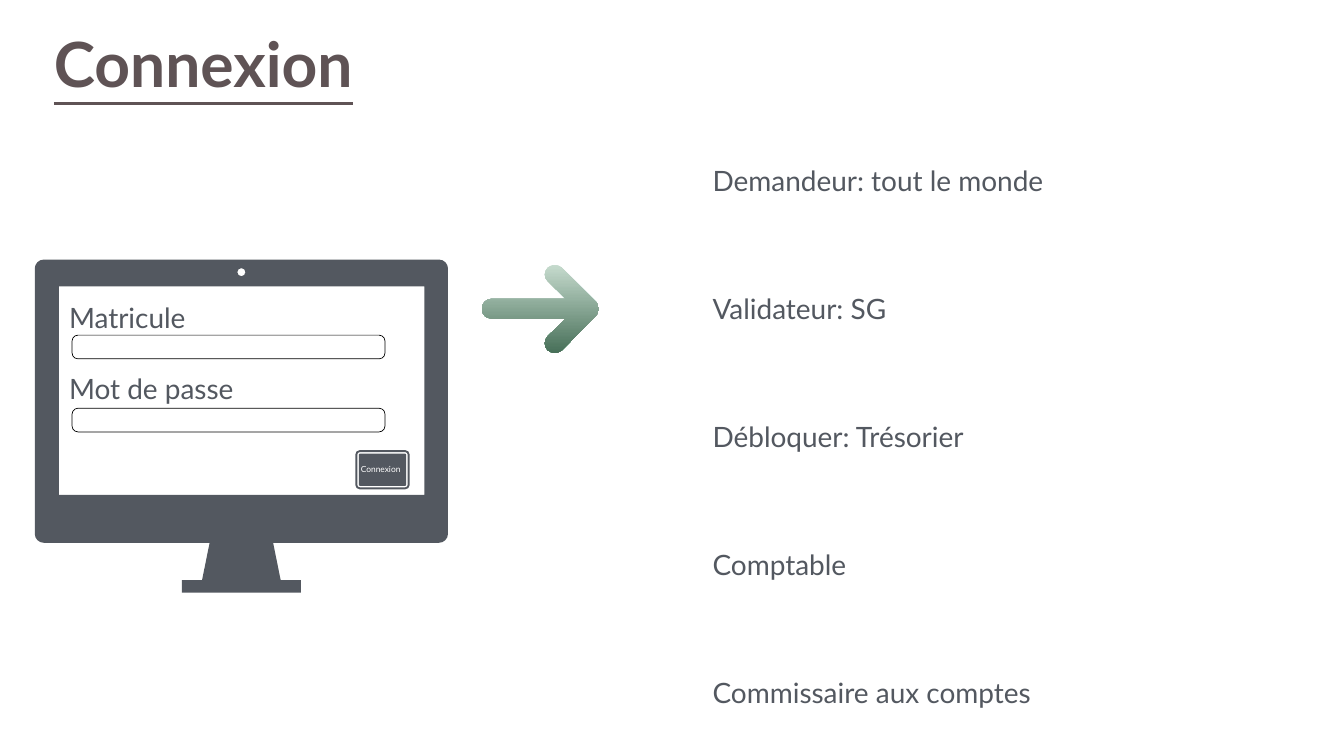
from dataclasses import dataclass

from lxml import etree
from pptx import Presentation
from pptx.dml.color import RGBColor
from pptx.enum.shapes import MSO_SHAPE
from pptx.enum.text import MSO_ANCHOR, MSO_AUTO_SIZE
from pptx.oxml.ns import qn
from pptx.util import Inches, Pt

ROUNDED = MSO_SHAPE.ROUNDED_RECTANGLE
MIDDLE = MSO_ANCHOR.MIDDLE
GROW = MSO_AUTO_SIZE.SHAPE_TO_FIT_TEXT
FIXED = MSO_AUTO_SIZE.NONE
ROUNDNESS = 0.55

Point = tuple[float, float]


@dataclass(frozen=True)
class Theme:
    font: str = "Lato"
    slate: RGBColor = RGBColor.from_string("535860")
    title: RGBColor = RGBColor.from_string("5F5355")
    white: RGBColor = RGBColor.from_string("FFFFFF")
    black: RGBColor = RGBColor.from_string("000000")
    arrow_top: RGBColor = RGBColor.from_string("C6DBCE")
    arrow_bottom: RGBColor = RGBColor.from_string("487059")
    title_size: int = 89
    body_size: int = 40
    button_size: int = 12


@dataclass(frozen=True)
class Field:
    label: str
    label_top: float
    label_width: float
    input_top: float


@dataclass(frozen=True)
class Role:
    text: str
    width: float


@dataclass(frozen=True)
class Step:
    end: Point
    corner: Point | None = None


Contour = list[Step]

THEME = Theme()
FIELDS = [
    Field("Matricule", 5.7, 3.35, 6.65),
    Field("Mot de passe", 7.12, 4.78, 8.1),
]
ROLES = [
    Role("Demandeur: tout le monde", 7.05),
    Role("Validateur: SG", 3.74),
    Role("Débloquer: Trésorier", 5.4),
    Role("Comptable", 2.99),
    Role("Commissaire aux comptes", 6.78),
]
ROLE_LEFT, ROLE_TOP, ROLE_STEP = 14.08, 3.14, 2.54


def add_text(page, text: str, left: float, top: float, width: float, height: float, *,
             size: int = THEME.body_size, color: RGBColor = THEME.slate,
             bold: bool = False, underline: bool = False, wrap: bool = False) -> None:
    box = page.shapes.add_textbox(Inches(left), Inches(top), Inches(width), Inches(height))
    frame = box.text_frame
    frame.word_wrap = wrap
    frame.auto_size = FIXED if wrap else GROW
    frame.vertical_anchor = MIDDLE
    frame.margin_left = frame.margin_right = Inches(0.06)
    frame.margin_top = frame.margin_bottom = Inches(0.06)
    span = frame.paragraphs[0].add_run()
    span.text = text
    span.font.name = THEME.font
    span.font.size = Pt(size)
    span.font.color.rgb = color
    span.font.bold = bold
    span.font.underline = underline


def toward(start: Point, corner: Point) -> Point:
    return tuple(a + ROUNDNESS * (b - a) for a, b in zip(start, corner))


def polygon(points: list[Point]) -> Contour:
    return [Step(point) for point in points]


def rounded_box(left: float, top: float, right: float, bottom: float, radius: float,
                bottom_edge: Contour = ()) -> Contour:
    return [
        Step((left + radius, top)),
        Step((left, top + radius), (left, top)),
        Step((left, bottom - radius)),
        Step((left + radius, bottom), (left, bottom)),
        *bottom_edge,
        Step((right - radius, bottom)),
        Step((right, bottom - radius), (right, bottom)),
        Step((right, top + radius)),
        Step((right - radius, top), (right, top)),
    ]


def add_outline(page, contours: list[Contour]):
    builder = None
    curve_flags = []
    for contour in contours:
        position = contour[0].end
        points = []
        for step in contour[1:]:
            if step.corner:
                points += [toward(position, step.corner), toward(step.end, step.corner)]
            points.append(step.end)
            curve_flags.append(step.corner is not None)
            position = step.end
        start = [Inches(value) for value in contour[0].end]
        if builder is None:
            builder = page.shapes.build_freeform(*start)
        else:
            builder.move_to(*start)
        builder.add_line_segments([(Inches(x), Inches(y)) for x, y in points], close=True)
    outline = builder.convert_to_shape()
    segments = iter(list(outline.element.iter(qn("a:lnTo"))))
    for is_curve in curve_flags:
        segment = next(segments)
        if is_curve:
            curve = etree.Element(qn("a:cubicBezTo"))
            segment.addprevious(curve)
            for part in (segment, next(segments), next(segments)):
                curve.append(part[0])
                part.getparent().remove(part)
    outline.shadow.inherit = False
    outline.line.fill.background()
    outline.fill.solid()
    outline.fill.fore_color.rgb = THEME.slate
    return outline


def add_monitor(page) -> None:
    center = 4.79
    half_stand = [(0.63, 10.77), (0.78, 11.51), (1.18, 11.51), (1.18, 11.76)]
    stand = polygon([(center - x, y) for x, y in half_stand]
                    + [(center + x, y) for x, y in reversed(half_stand)])
    case = rounded_box(0.69, 5.15, 8.89, 10.77, 0.18, stand)
    camera = rounded_box(center - 0.08, 5.32, center + 0.08, 5.48, 0.08)
    screen = polygon([(1.17, 5.68), (8.42, 5.68), (8.42, 9.82), (1.17, 9.82)])
    add_outline(page, [case, camera, screen])


def add_arrow(page) -> None:
    outline = add_outline(page, [[
        Step((11.01, 5.25)),
        Step((10.87, 5.31), (10.93, 5.25)),
        Step((10.87, 5.58), (10.73, 5.45)),
        Step((11.23, 5.93)),
        Step((9.75, 5.93)),
        Step((9.56, 6.13), (9.56, 5.93)),
        Step((9.75, 6.32), (9.56, 6.32)),
        Step((11.23, 6.32)),
        Step((10.87, 6.67)),
        Step((10.87, 6.95), (10.73, 6.81)),
        Step((11.01, 7), (10.93, 7)),
        Step((11.15, 6.95), (11.09, 7)),
        Step((11.83, 6.26)),
        Step((11.89, 6.13), (11.89, 6.21)),
        Step((11.83, 5.99), (11.89, 6.05)),
        Step((11.15, 5.31)),
        Step((11.01, 5.25), (11.09, 5.25)),
    ]])
    outline.fill.gradient()
    outline.fill.gradient_angle = 270
    stops = outline.fill.gradient_stops
    for stop, position, color in zip(stops, (0, 1), (THEME.arrow_top, THEME.arrow_bottom)):
        stop.position = position
        stop.color.rgb = color


def add_input(page, top: float) -> None:
    box = page.shapes.add_shape(ROUNDED, Inches(1.43), Inches(top), Inches(6.21), Inches(0.47))
    box.adjustments[0] = 0.25
    box.shadow.inherit = False
    box.fill.solid()
    box.fill.fore_color.rgb = THEME.white
    box.line.color.rgb = THEME.black
    box.line.width = Pt(1)


def add_button(page) -> None:
    frame = add_outline(page, [
        rounded_box(7.2 + inset, 8.78 + inset, 7.98 - inset, 9.86 - inset, 0.09 - inset)
        for inset in (0, 0.04, 0.07)
    ])
    frame.rotation = 270
    add_text(page, "Connexion", 7.1, 9.15, 0.95, 0.33,
             size=THEME.button_size, color=THEME.white)


def main() -> None:
    deck = Presentation()
    deck.slide_width, deck.slide_height = Inches(26.67), Inches(15)
    page = deck.slides.add_slide(deck.slide_layouts[6])
    add_monitor(page)
    for field in FIELDS:
        add_text(page, field.label, 1.31, field.label_top, field.label_width, 1.18, wrap=True)
    add_arrow(page)
    for index, role in enumerate(ROLES):
        add_text(page, role.text, ROLE_LEFT, ROLE_TOP + index * ROLE_STEP, role.width, 0.88)
    add_text(page, "Connexion", 1.01, 0.33, 6.63, 1.81, size=THEME.title_size,
             color=THEME.title, bold=True, underline=True)
    for field in reversed(FIELDS):
        add_input(page, field.input_top)
    add_button(page)
    deck.save("out.pptx")


if __name__ == "__main__":
    main()
